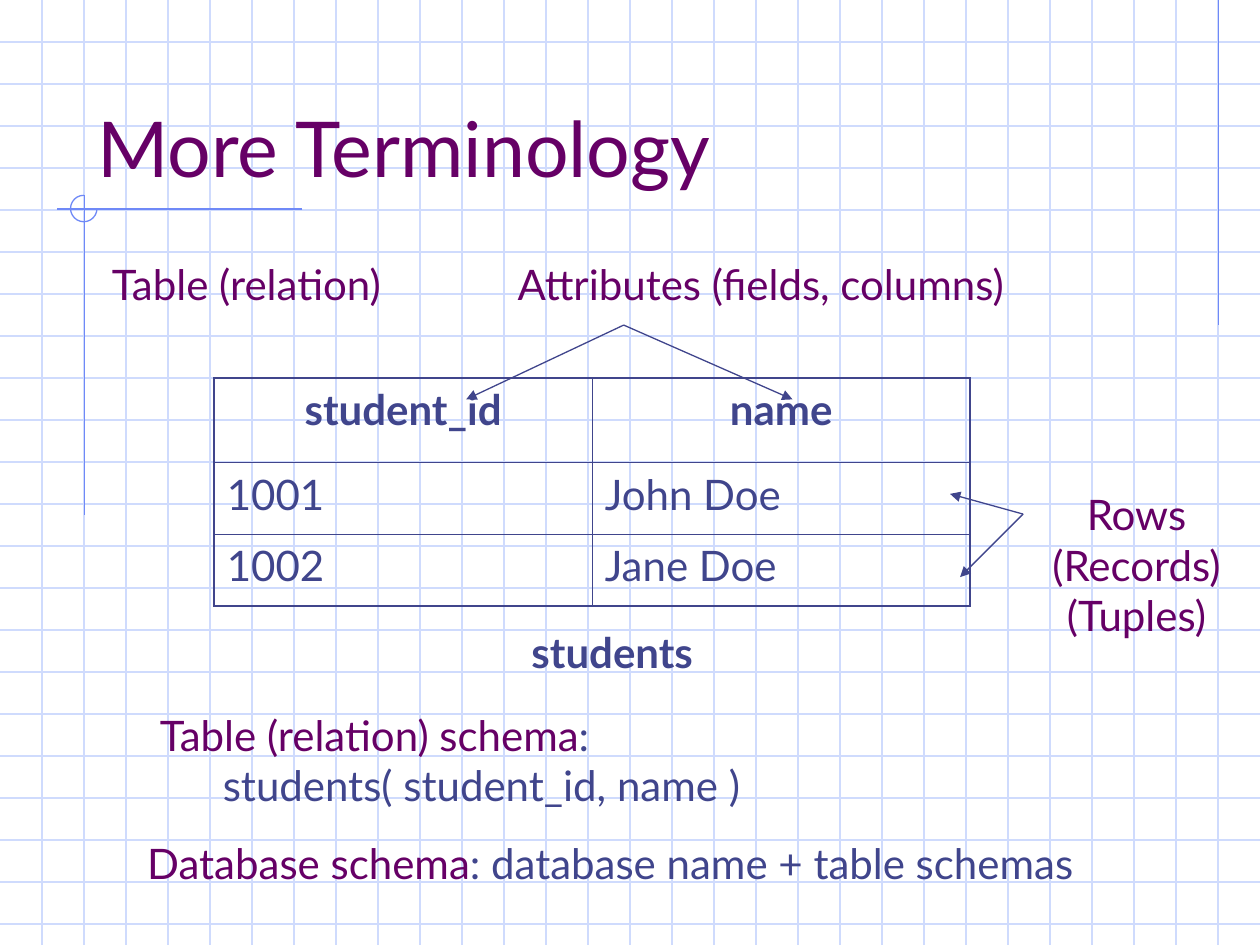
from dataclasses import dataclass

from lxml import etree
from pptx import Presentation
from pptx.dml.color import RGBColor
from pptx.enum.shapes import MSO_CONNECTOR, MSO_SHAPE
from pptx.enum.text import MSO_ANCHOR, MSO_AUTO_SIZE, PP_ALIGN
from pptx.oxml.ns import qn
from pptx.util import Inches, Pt

LINE = MSO_CONNECTOR.STRAIGHT
ARC = MSO_SHAPE.ARC
BOTTOM = MSO_ANCHOR.BOTTOM
FIXED = MSO_AUTO_SIZE.NONE
LEFT, CENTER = PP_ALIGN.LEFT, PP_ALIGN.CENTER


@dataclass
class Theme:
    font: str = "Lato"
    plum: str = "660066"
    navy: str = "40458C"
    grid: str = "CFDBFD"
    trim: str = "6F89F7"
    head: int = 44
    body: int = 24
    thin: float = 0.75
    inner: float = 0.45
    outer: float = 1.08


class Page:
    """Holds the theme and the slide being drawn."""

    def __init__(self, slide, theme):
        self.slide, self.theme = slide, theme
        self.shapes = slide.shapes

    def run(self, para, text, color, size=None, bold=False):
        run = para.add_run()
        run.text = text
        font = run.font
        font.name, font.bold = self.theme.font, bold
        font.size = Pt(size or self.theme.body)
        font.color.rgb = RGBColor.from_string(color)

    def title(self, text, *box):
        shape = self.shapes.title
        shape.left, shape.top, shape.width, shape.height = map(Inches, box)
        # Bring the title in front of the background lines
        shape.element.getparent().append(shape.element)
        frame = shape.text_frame
        frame.vertical_anchor, frame.auto_size = BOTTOM, FIXED
        para = frame.paragraphs[0]
        para.alignment = LEFT
        self.run(para, text, self.theme.plum, self.theme.head)

    def text(self, box, *lines, align=LEFT, bold=False):
        """Each line is a list of (text, color) runs."""
        frame = self.shapes.add_textbox(*map(Inches, box)).text_frame
        frame.word_wrap = True
        for i, line in enumerate(lines):
            para = frame.add_paragraph() if i else frame.paragraphs[0]
            para.alignment = align
            for text, color in line:
                self.run(para, text, color, bold=bold)

    def line(self, start, end, color, arrow=False):
        link = self.shapes.add_connector(LINE, *map(Inches, (*start, *end)))
        link.line.color.rgb = RGBColor.from_string(color)
        link.line.width = Pt(self.theme.thin)
        props = link.element.spPr
        if arrow:
            etree.SubElement(props.find(qn("a:ln")), qn("a:tailEnd"), type="triangle")
        etree.SubElement(props, qn("a:effectLst"))

    def arc(self, box, color):
        shape = self.shapes.add_shape(ARC, *map(Inches, box))
        shape.shadow.inherit = False
        # Three quarters of a turn: right, bottom, left, top
        shape.adjustments[0], shape.adjustments[1] = 0, 162
        shape.fill.background()
        shape.line.color.rgb = RGBColor.from_string(color)
        shape.line.width = Pt(self.theme.thin)

    def border(self, cell, side, width):
        props = cell._tc.get_or_add_tcPr()
        edge = etree.SubElement(props, qn("a:ln" + side), w=str(int(Pt(width))))
        fill = etree.SubElement(edge, qn("a:solidFill"))
        etree.SubElement(fill, qn("a:srgbClr"), val=self.theme.navy)

    def table(self, box, rows, heights):
        last, end = len(rows) - 1, len(rows[0]) - 1
        frame = self.shapes.add_table(last + 1, end + 1, *map(Inches, box))
        table = frame.table
        table.first_row = table.horz_banding = False
        for r, (row, height) in enumerate(zip(rows, heights)):
            table.rows[r].height = Inches(height)
            for c, text in enumerate(row):
                cell = table.cell(r, c)
                para = cell.text_frame.paragraphs[0]
                para.alignment = LEFT if r else CENTER
                para.space_before = Pt(6)
                self.run(para, text, self.theme.navy, bold=r == 0)
                rims = {"L": c == 0, "R": c == end, "T": r == 0, "B": r == last}
                for side, rim in rims.items():
                    self.border(cell, side, self.theme.outer if rim else self.theme.inner)
                cell.fill.background()


def main():
    deck = Presentation()
    wide, high = 10, 7.5
    deck.slide_width, deck.slide_height = Inches(wide), Inches(high)
    theme = Theme()
    plum, navy, trim = theme.plum, theme.navy, theme.trim
    page = Page(deck.slides.add_slide(deck.slide_layouts[5]), theme)

    # Graph paper, three squares to the inch
    for i in range(1, 23):
        page.line((0, i / 3), (wide, i / 3), theme.grid)
    for i in range(1, 30):
        page.line((i / 3, 0), (i / 3, high), theme.grid)

    # Trim lines and corner ring
    page.line((9.67, 0), (9.67, 2.58), trim)
    page.line((2.4, 1.66), (0.45, 1.66), trim)
    page.line((0.67, 1.55), (0.67, 4.09), trim)
    page.arc((0.56, 1.55, 0.21, 0.21), trim)

    page.title("More Terminology", 0.67, 0.33, 8.5, 1.25)

    # Students table
    rows = [("student_id", "name"), ("1001", "John Doe"), ("1002", "Jane Doe")]
    page.table((1.7, 3, 6, 1.81), rows, (0.67, 0.57, 0.57))
    page.text((4.12, 4.92, 1.66, 0.5), [("students", navy)], bold=True)

    # Arrows to columns and rows
    fans = {(4.95, 2.58): [(3.7, 3.17), (6.29, 3.17)],
            (8.12, 4.08): [(7.54, 3.92), (7.62, 4.58)]}
    for start, ends in fans.items():
        for end in ends:
            page.line(start, end, navy, arrow=True)

    # Labels
    page.text((0.79, 2, 2.55, 0.5), [("Table (relation)", plum)])
    page.text((4.01, 2, 4.39, 0.5), [("Attributes (fields, columns)", plum)])
    names = ("Rows", "(Records)", "(Tuples)")
    page.text((8.19, 3.83, 1.66, 1.3), *[[(name, plum)] for name in names], align=CENTER)

    # Schemas
    page.text((1.17, 5.58, 5.65, 0.9),
              [("Table (relation) schema", plum), (":", navy)],
              [("\tstudents( student_id, name )", navy)])
    page.text((1.07, 6.6, 8.18, 0.5),
              [("Database schema", plum), (": database name + table schemas", navy)])

    deck.save("out.pptx")


if __name__ == "__main__":
    main()
